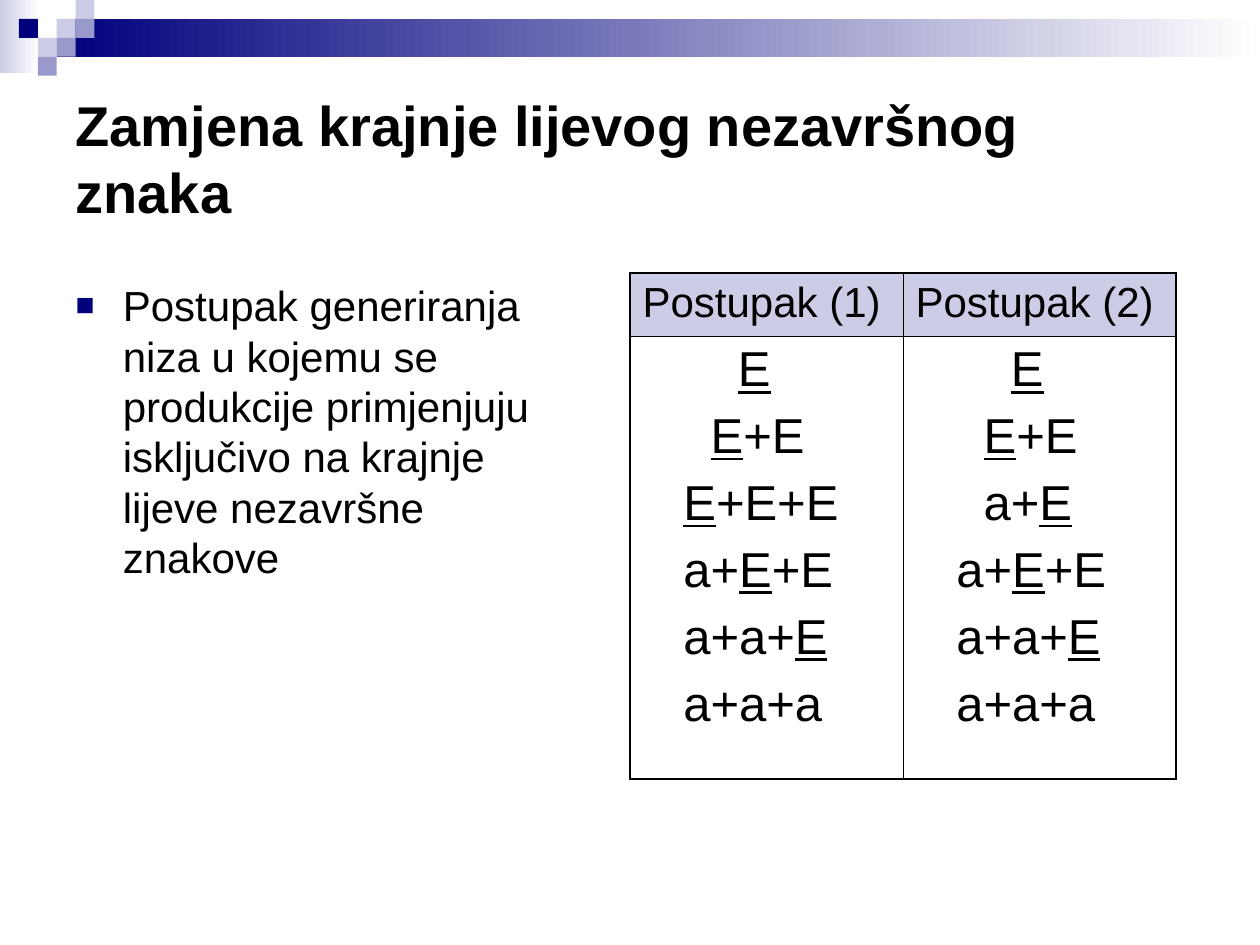
from lxml.etree import SubElement as Sub
from pptx import Presentation
from pptx.dml.color import RGBColor
from pptx.enum.shapes import MSO_SHAPE as Shape
from pptx.enum.text import MSO_ANCHOR as Anchor, MSO_AUTO_SIZE as Fit, PP_ALIGN as Align
from pptx.oxml import parse_xml
from pptx.oxml.ns import nsdecls, qn
from pptx.util import Pt

NAVY, MID, PALE, WHITE, BLACK = "00007D", "9999CC", "CCCCE6", "FFFFFF", "000000"
rgb = RGBColor.from_string


def style(para, size, bold=False, **form):
    look = {"name": "Arial", "size": Pt(size), "bold": bold}
    for font in [para.font] + [run.font for run in para.runs]:
        for key, val in look.items():
            setattr(font, key, val)
        font.color.rgb = rgb(BLACK)
    for key, val in form.items():
        setattr(para, key, val)


def block(left, top, width, height, *tones):
    box = slide.shapes.add_shape(Shape.RECTANGLE, Pt(left), Pt(top), Pt(width), Pt(height))
    box.shadow.inherit = False
    box.line.fill.background()
    if len(tones) == 1:
        box.fill.solid()
        box.fill.fore_color.rgb = rgb(tones[0])
        return
    box.fill.gradient()
    box.fill.gradient_angle = 0
    for stop, tone in zip(box.fill.gradient_stops, tones):
        stop.color.rgb = rgb(tone)


deck = Presentation()
deck.slide_width, deck.slide_height = Pt(720), Pt(540)
slide = deck.slides.add_slide(deck.slide_layouts[1])

# Top band: two fades, then squares on a grid
block(0, 0, 22.3, 41.8, PALE, WHITE)
block(32.4, 10.8, 687.6, 21.6, NAVY, WHITE)
side = 10.8
squares = [(3, 1, PALE), (4, 0, PALE), (4, 1, MID), (2, 2, PALE),
           (1, 1, NAVY), (3, 2, MID), (2, 3, MID)]
for col, row, tone in squares:
    block(col * side, row * side, side, side, tone)

# Title and list
title, body = slide.placeholders
places = [(title, (36, 36, 648, 108), Anchor.MIDDLE),
          (body, (36, 156.2, 288, 306), Anchor.TOP)]
for hold, spot, anchor in places:
    for key, val in zip(("left", "top", "width", "height"), spot):
        setattr(hold, key, Pt(val))
    form = {"word_wrap": True, "auto_size": Fit.NONE, "vertical_anchor": anchor}
    for key, val in form.items():
        setattr(hold.text_frame, key, val)

title.text_frame.text = "Zamjena krajnje lijevog nezavršnog znaka"
style(title.text_frame.paragraphs[0], 32, True, alignment=Align.LEFT, line_spacing=Pt(38.4))

body.text_frame.text = ("Postupak generiranja niza u kojemu se produkcije primjenjuju "
                        "isključivo na krajnje lijeve nezavršne znakove")
para = body.text_frame.paragraphs[0]
props = para._p.get_or_add_pPr()
props.set("marL", str(Pt(27)))
props.set("indent", str(Pt(-27)))
Sub(Sub(props, qn("a:buClr")), qn("a:srgbClr"), val=NAVY)
Sub(props, qn("a:buSzPct"), val="75000")
Sub(props, qn("a:buFont"), typeface="Arial")
Sub(props, qn("a:buChar"), char="■")
style(para, 24, space_before=Pt(0), line_spacing=Pt(28.8))

# Derivation table: (indent in points, text with _underlined_ parts)
heads = ["Postupak (1)", "Postupak (2)"]
tail = [(23.3, "a+_E_+E"), (23.3, "a+a+_E_"), (23.3, "a+a+a")]
steps = [[(54.5, "_E_"), (38.9, "_E_+E"), (23.3, "_E_+E+E")] + tail,
         [(54.5, "_E_"), (38.9, "_E_+E"), (38.9, "a+_E_")] + tail]
frame = slide.shapes.add_table(2, 2, Pt(360), Pt(156.2), Pt(312), Pt(289))
table = frame.table
table.first_row = table.horz_banding = False
for row, tall in zip(table.rows, (36, 253)):
    row.height = Pt(tall)

for col in range(2):
    table.columns[col].width = Pt(156)
    head, cell = table.cell(0, col), table.cell(1, col)
    head.fill.solid()
    head.fill.fore_color.rgb = rgb(PALE)
    head.text = heads[col]
    style(head.text_frame.paragraphs[0], 24)

    cell.fill.background()
    for num, (inset, text) in enumerate(steps[col]):
        para = cell.text_frame.add_paragraph() if num else cell.text_frame.paragraphs[0]
        para._p.get_or_add_pPr().set("marL", str(Pt(inset)))
        for part, piece in enumerate(text.split("_")):
            if piece:
                run = para.add_run()
                run.text = piece
                run.font.underline = part % 2 == 1
        style(para, 28, space_before=Pt(7 if num else 0))

    # Thick outer and thin inner borders
    for row in range(2):
        props = table.cell(row, col)._tc.get_or_add_tcPr()
        outer = {"L": col == 0, "R": col == 1, "T": row == 0, "B": row == 1}
        for spot, (edge, thick) in enumerate(outer.items()):
            wide = Pt(1.08 if thick else 0.45)
            props.insert(spot, parse_xml(
                f'<a:ln{edge} {nsdecls("a")} w="{wide}"><a:solidFill>'
                f'<a:srgbClr val="{BLACK}"/></a:solidFill></a:ln{edge}>'))

deck.save("out.pptx")
